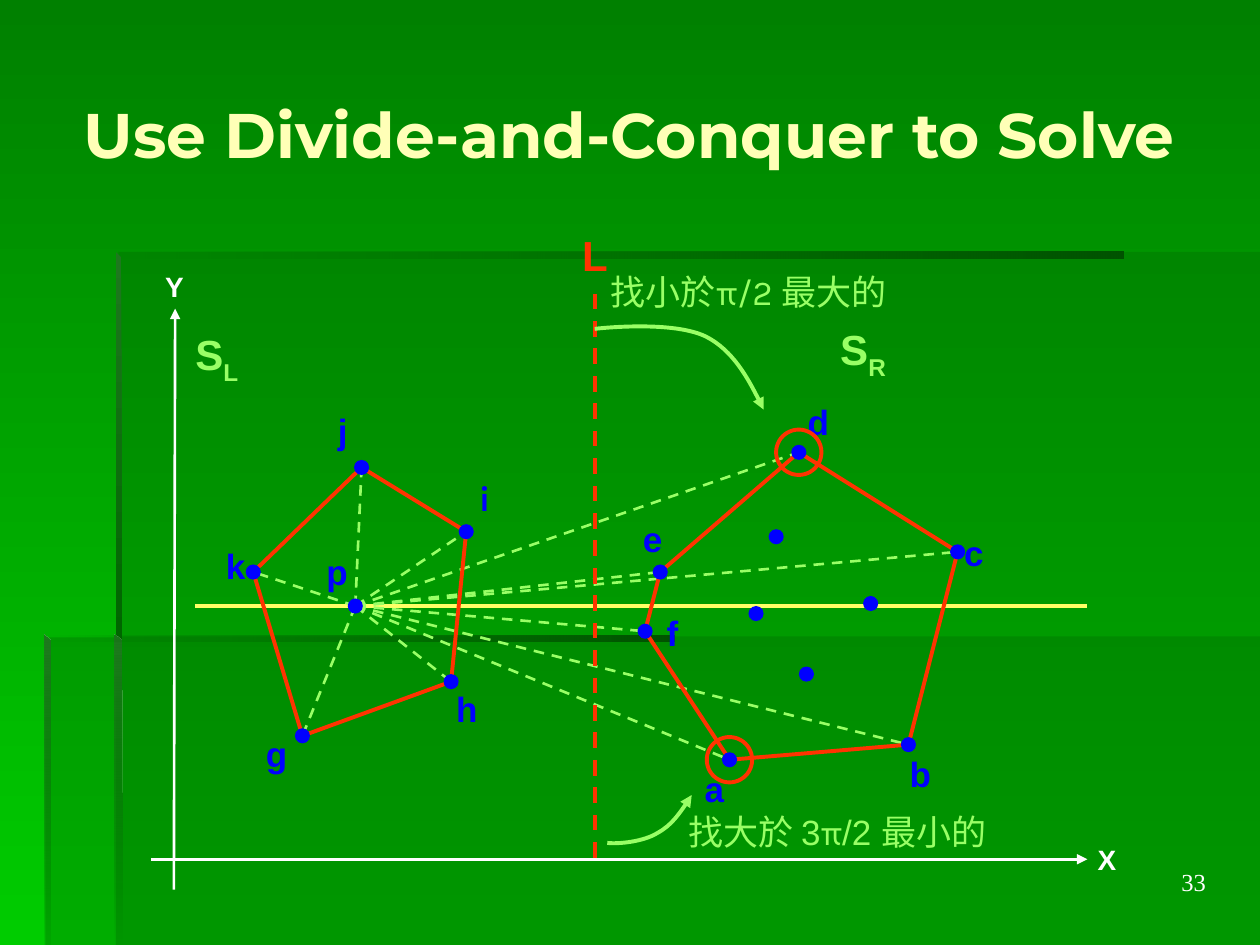
from dataclasses import dataclass
from typing import Any

from lxml import etree
from pptx import Presentation
from pptx.dml.color import RGBColor
from pptx.enum.dml import MSO_LINE
from pptx.enum.shapes import MSO_CONNECTOR, MSO_SHAPE
from pptx.enum.text import MSO_ANCHOR, MSO_AUTO_SIZE, PP_ALIGN
from pptx.oxml.ns import qn
from pptx.util import Inches, Pt

WIDE, HIGH = Inches(10), Inches(7.5)
COLS, ROWS = 100, 75
DASH = MSO_LINE.DASH
LINE, OVAL = MSO_CONNECTOR.STRAIGHT, MSO_SHAPE.OVAL
TOP, MIDDLE = MSO_ANCHOR.TOP, MSO_ANCHOR.MIDDLE
CENTER, RIGHT = PP_ALIGN.CENTER, PP_ALIGN.RIGHT
FIT, FIXED = MSO_AUTO_SIZE.SHAPE_TO_FIT_TEXT, MSO_AUTO_SIZE.NONE
COLORS = {
    "dark": "008000", "light": "00CC00", "pane": "006600",
    "deep": "005300", "edge": "1E781E", "cream": "FFFFB7",
    "yellow": "FFFF66", "lime": "99FF66", "red": "FF3300",
    "blue": "0000FF", "white": "FFFFFF",
}
Point = tuple[float, float]


@dataclass
class Panel:
    points: list[Point]
    stops: list[tuple[str, int]]
    angle: int = 0


@dataclass
class Node:
    col: float
    row: float
    left: float
    top: float
    wide: float
    font: str = "Arial"


@dataclass
class Label:
    runs: list[tuple[str, str]]
    box: tuple[float, float, float, float]
    size: float
    color: str
    bold: bool = True
    align: Any = CENTER
    anchor: Any = TOP
    inset: Point = (0, 0)
    wrap: bool = False
    sub: str = ""


PANE, FADE = ("pane", 100), ("pane", 0)
DEEP, EDGE = ("deep", 100), ("edge", 100)
PANELS = [
    Panel([(9.2, 50.5), (9.2, 75), (100, 75), (100, 50.5)], [("pane", 30)]),
    Panel([(9.4, 50.6), (3.6, 50.6), (3.6, 75), (100, 75), (100, 20),
           (9.4, 20)], [("pane", 30)]),
    Panel([(9.2, 20), (9.2, 20.5), (89.2, 20.5), (89.2, 20)],
          [DEEP, FADE], 180),
    Panel([(9.2, 20), (9.2, 51), (9.7, 51), (9.6, 20.4)], [EDGE, PANE], 270),
    Panel([(9.1, 75), (9.7, 75), (9.6, 50.8), (9.1, 50.4)],
          [EDGE, FADE], 270),
    Panel([(3.5, 50.4), (3.5, 50.9), (53.5, 50.9), (53.5, 50.4)],
          [DEEP, FADE], 180),
    Panel([(3.5, 50.4), (3.5, 75), (4, 75), (4, 50.9)],
          [EDGE, ("pane", 10)], 270),
]
NODES = {
    "p": Node(28.2, 48.1, 25.9, 43.7, 1.7),
    "j": Node(28.7, 37.1, 26.8, 32.5, 0.8),
    "k": Node(20.1, 45.4, 17.9, 43.2, 1.6),
    "g": Node(24, 58.4, 21.1, 58.1, 1.7),
    "h": Node(35.8, 54.1, 36.2, 54.6, 1.7),
    "i": Node(37, 42.2, 38, 37.8, 0.9, "Karla"),
    "a": Node(57.9, 60.3, 55.9, 60.9, 1.6),
    "b": Node(72.1, 59.1, 72.2, 59.7, 1.7),
    "c": Node(76, 43.8, 76.5, 42.2, 1.6),
    "d": Node(63.4, 35.9, 64.1, 31.8, 1.7),
    "e": Node(52.4, 45.4, 51, 41.1, 1.6),
    "f": Node(51.2, 50.1, 52.9, 48.5, 0.9),
}
INNER = [(61.6, 42.6), (69.1, 47.9), (60, 48.7), (64, 53.5)]
HULLS = ["jkghi", "abcdef"]
CURVES = [
    [(47.2, 26.1), (49, 25.9), (53.7, 25.6), (56, 26.7),
     (58.2, 27.8), (59.9, 31), (60.6, 32.5)],
    [(48.2, 66.9), (49.1, 67), (51.1, 66.8), (52.2, 66.1),
     (53.3, 65.5), (54.5, 63.8), (54.9, 63.1)],
]
LABELS = [
    Label([("Use Divide-and-Conquer to Solve", "Montserrat")],
          (4.1, 2.7, 91.7, 15.7), 36, "cream", anchor=MIDDLE,
          inset=(1, 0.5), wrap=True),
    Label([("Y", "Arial")], (13.1, 21.4, 1.5, 2.7), 16, "white"),
    Label([("X", "Arial")], (87.1, 66.9, 1.5, 2.7), 16, "white"),
    Label([("S", "Arial"), ("L", "Arial")], (15.2, 26.1, 4, 4.6),
          24, "lime", sub="L"),
    Label([("S", "Arial"), ("R", "Arial")], (66.5, 25.7, 4, 4.6),
          24, "lime", sub="R"),
    Label([("L", "Arial")], (46.2, 18.2, 2, 4), 24, "red"),
    Label([("找小於", "Arial"), ("π/2 ", "Karla"), ("最大的", "Arial")],
          (48.4, 21.5, 22, 3.3), 20, "lime", False, wrap=True),
    Label([("找大於 3", "Arial"), ("π", "Karla"), ("/2 最小的", "Arial")],
          (53.5, 64.3, 25.9, 3.3), 20, "lime", False),
    Label([("33", "Times New Roman")], (75.9, 68.3, 20.8, 5.2), 14, "white",
          False, RIGHT, inset=(1, 0.5), wrap=True),
]


def tint(name: str) -> RGBColor:
    return RGBColor.from_string(COLORS[name])


def across(cols: float) -> int:
    return round(WIDE * cols / COLS)


def down(rows: float) -> int:
    return round(HIGH * rows / ROWS)


def apply(target: Any, values: dict[str, Any]) -> None:
    for name, value in values.items():
        setattr(target, name, value)


def shade(fill: Any, names: list[str], angle: int) -> None:
    fill.gradient()
    fill.gradient_angle = angle
    for stop, name in zip(fill.gradient_stops, names):
        stop.color.rgb = tint(name)


def outline(line: Any, color: str, width: float, dash: Any = None,
            arrow: bool = False) -> None:
    line.color.rgb = tint(color)
    apply(line, {"width": Pt(width), "dash_style": dash})
    if arrow:
        etree.SubElement(line._get_or_add_ln(), qn("a:tailEnd"),
                         type="triangle")


def trace(shapes: Any, points: list[Point], close: bool) -> Any:
    places = [(across(col), down(row)) for col, row in points]
    pen = shapes.build_freeform(*places[0])
    pen.add_line_segments(places[1:], close=close)
    shape = pen.convert_to_shape()
    shape.shadow.inherit = False
    return shape


def add_panel(shapes: Any, panel: Panel) -> None:
    shape = trace(shapes, panel.points, True)
    shape.line.fill.background()
    names = [name for name, _ in panel.stops]
    if len(names) == 1:
        shape.fill.solid()
        shape.fill.fore_color.rgb = tint(names[0])
    else:
        shade(shape.fill, names, panel.angle)
    marks = shape._element.spPr.iter(qn("a:srgbClr"))
    for mark, (_, share) in zip(list(marks), panel.stops):
        etree.SubElement(mark, qn("a:alpha"), val=str(share * 1000))


def add_curve(shapes: Any, points: list[Point]) -> None:
    shape = trace(shapes, points, False)
    shape.fill.background()
    outline(shape.line, "lime", 2.25, arrow=True)
    route = next(shape._element.iter(qn("a:path")))
    steps = route.findall(qn("a:lnTo"))
    for start in range(0, len(steps), 3):
        bend = etree.SubElement(route, qn("a:cubicBezTo"))
        for step in steps[start:start + 3]:
            bend.append(step[0])
            route.remove(step)


def add_line(shapes: Any, start: Point, end: Point, color: str, width: float,
             dash: Any = None, arrow: bool = False) -> None:
    line = shapes.add_connector(LINE, across(start[0]), down(start[1]),
                                across(end[0]), down(end[1]))
    outline(line.line, color, width, dash, arrow)
    etree.SubElement(line._element.spPr, qn("a:effectLst"))


def add_round(shapes: Any, col: float, row: float, size: float,
              ring: bool = False) -> None:
    shape = shapes.add_shape(OVAL, across(col - size / 2),
                             down(row - size / 2), across(size), down(size))
    shape.shadow.inherit = False
    if ring:
        shape.fill.background()
        outline(shape.line, "red", 2.25)
    else:
        shape.fill.solid()
        shape.fill.fore_color.rgb = tint("blue")
        shape.line.fill.background()


def add_label(shapes: Any, label: Label) -> None:
    left, top, wide, high = label.box
    frame = shapes.add_textbox(across(left), down(top), across(wide),
                               down(high)).text_frame
    side, edge = across(label.inset[0]), down(label.inset[1])
    apply(frame, {"margin_left": side, "margin_right": side,
                  "margin_top": edge, "margin_bottom": edge,
                  "word_wrap": label.wrap, "vertical_anchor": label.anchor,
                  "auto_size": FIXED if label.wrap else FIT})
    para = frame.paragraphs[0]
    para.alignment = label.align
    for text, font in label.runs:
        run = para.add_run()
        run.text = text
        apply(run.font, {"name": font, "size": Pt(label.size),
                         "bold": label.bold})
        run.font.color.rgb = tint(label.color)
        if text == label.sub:
            run._r.get_or_add_rPr().set("baseline", "-25000")


def main() -> None:
    deck = Presentation()
    apply(deck, {"slide_width": WIDE, "slide_height": HIGH})
    slide = deck.slides.add_slide(deck.slide_layouts[6])
    shade(slide.background.fill, ["dark", "light"], 270)
    shapes = slide.shapes
    for panel in PANELS:
        add_panel(shapes, panel)
    spots = {name: (node.col, node.row) for name, node in NODES.items()}
    add_line(shapes, (15.5, 48.1), (86.3, 48.1), "yellow", 2.25)
    for name, spot in spots.items():
        if name != "p":
            add_line(shapes, spots["p"], spot, "lime", 1.5, DASH)
    for hull in HULLS:
        for start, end in zip(hull, hull[1:] + hull[0]):
            add_line(shapes, spots[start], spots[end], "red", 2.25)
    add_line(shapes, (13.8, 70.6), (13.9, 24.5), "white", 1.5, arrow=True)
    add_line(shapes, (12, 68.2), (86.3, 68.2), "white", 1.5, arrow=True)
    add_line(shapes, (47.2, 23.3), (47.2, 68.2), "red", 2.25, DASH)
    for col, row in [*spots.values(), *INNER]:
        add_round(shapes, col, row, 1.2)
    for name, node in NODES.items():
        add_label(shapes, Label([(name, node.font)],
                                (node.left, node.top, node.wide, 3.3),
                                20, "blue"))
    for curve in CURVES:
        add_curve(shapes, curve)
    for label in LABELS:
        add_label(shapes, label)
    for name in "da":
        add_round(shapes, *spots[name], 3.6, True)
    deck.save("out.pptx")


if __name__ == "__main__":
    main()
